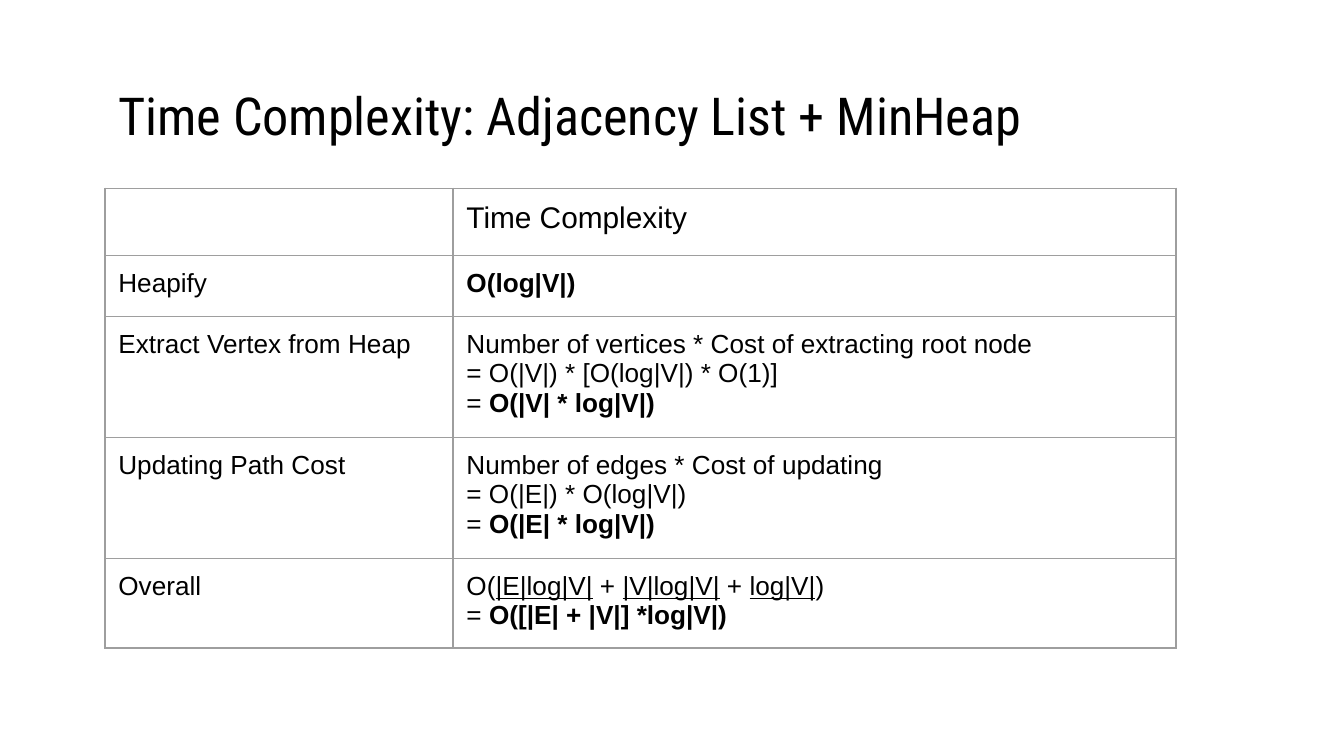
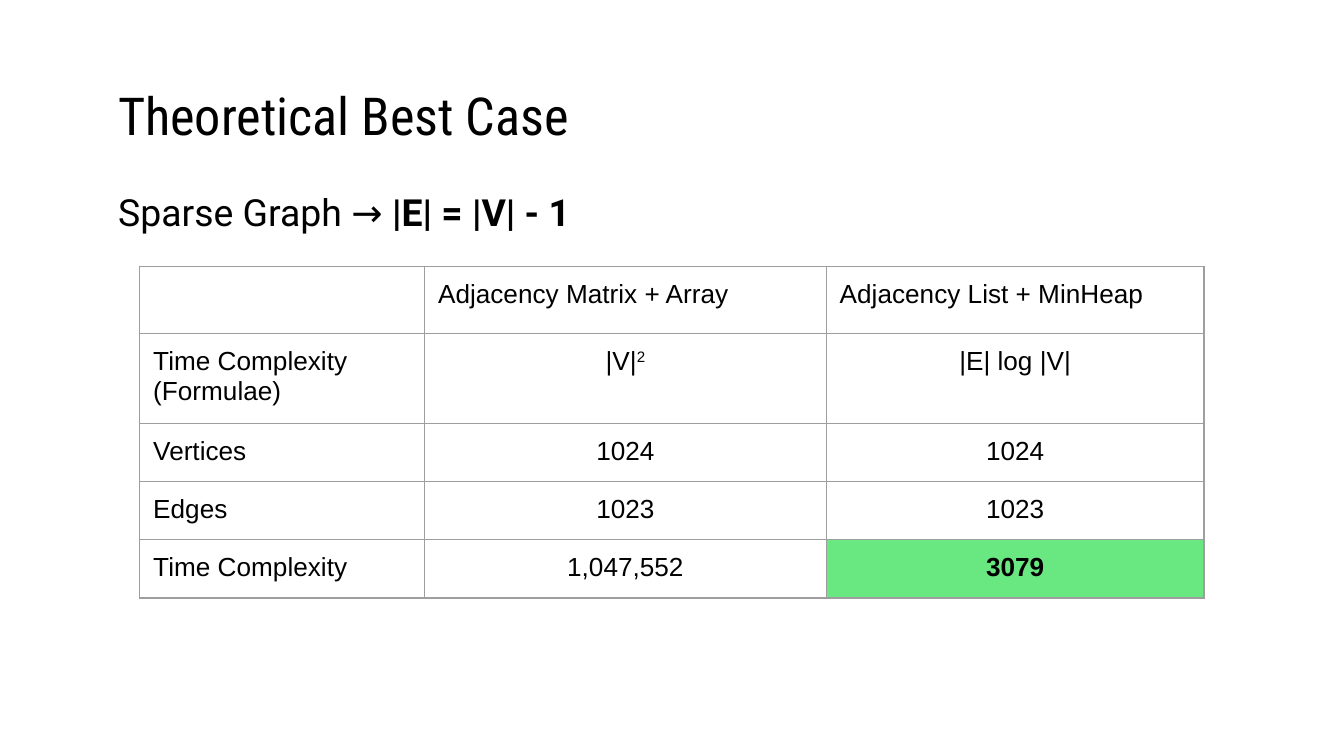
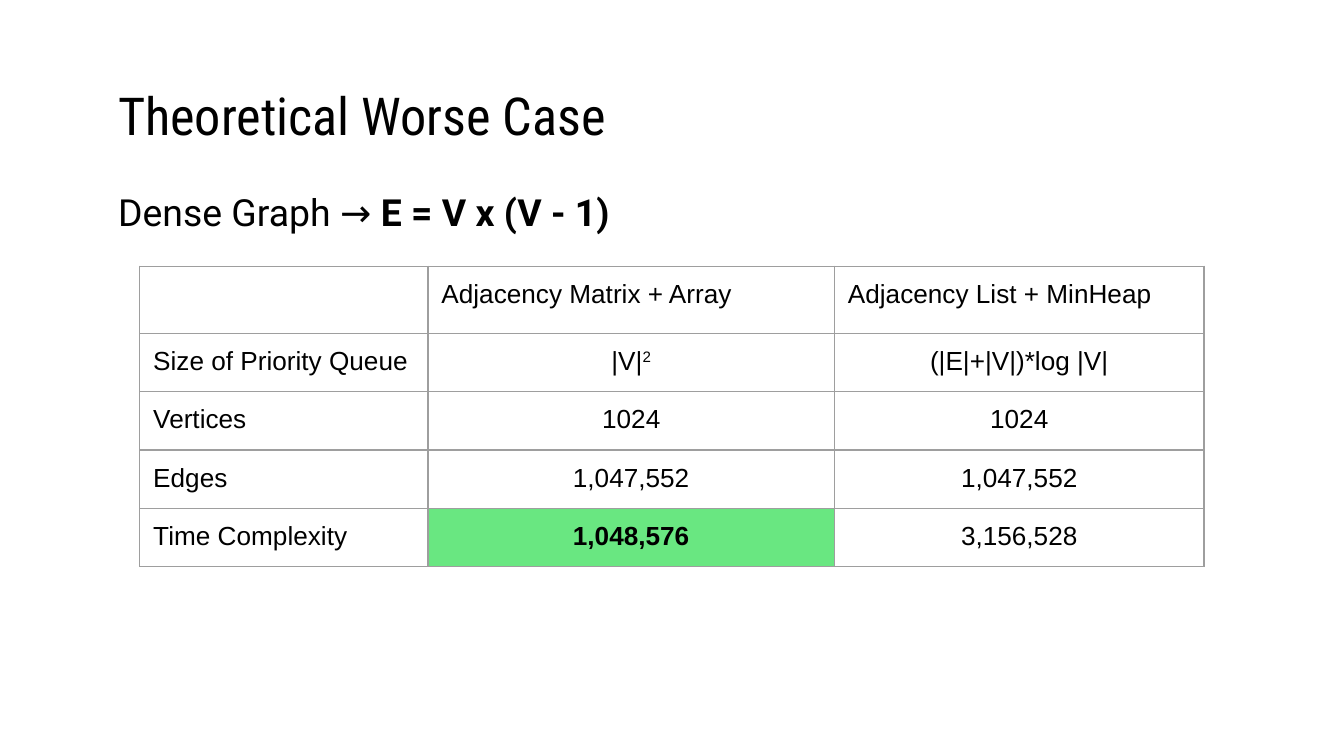
from pptx import Presentation
from pptx.dml.color import RGBColor
from pptx.enum.text import MSO_ANCHOR, PP_ALIGN
from pptx.oxml.ns import qn
from pptx.util import Pt
from lxml import etree

LEFT, CENTER = PP_ALIGN.LEFT, PP_ALIGN.CENTER
TOP, MIDDLE = MSO_ANCHOR.TOP, MSO_ANCHOR.MIDDLE

COLORS = {"background": "FFFFFF", "text": "000000", "border": "9E9E9E", "winner": "69E781"}
TITLE_FONT, BODY_FONT, TABLE_FONT = "Roboto Condensed", "Roboto", "Arial"
INSET = 7.2
TITLE_BOX = (56.2, 42.5, 608.4, 38.2)
BODY_BOX = (56.2, 90.7, 608.4, 272.2)
SUMMARY_ORIGIN = (56.2, 100.8)
COMPARISON_ORIGIN = (74.9, 142.6)
HEADER_HEIGHT, ROW_HEIGHT, TWO_LINE_HEIGHT, THREE_LINE_HEIGHT = 34.3, 30.2, 45.8, 61.5

PLAIN, BOLD, UNDERLINE, SUPERSCRIPT = "plain", "bold", "underline", "superscript"
SQUARED = [[("|V|", PLAIN), ("2", SUPERSCRIPT)]]


def color(name):
    return RGBColor.from_string(COLORS[name])


def plain(text):
    return [[(text, PLAIN)]]


def bold(text):
    return [[(text, BOLD)]]


def write_text(frame, paragraphs, font, size, alignment=LEFT, line_spacing=None):
    """Fill a frame with paragraphs, each a list of (text, style) runs."""
    for index, runs in enumerate(paragraphs):
        paragraph = frame.paragraphs[0] if index == 0 else frame.add_paragraph()
        paragraph.alignment = alignment
        if line_spacing:
            paragraph.line_spacing = line_spacing
        for text, style in runs:
            run = paragraph.add_run()
            run.text = text
            run.font.name, run.font.size = font, Pt(size)
            run.font.color.rgb = color("text")
            run.font.bold = style == BOLD
            run.font.underline = style == UNDERLINE
            if style == SUPERSCRIPT:
                run.font._element.set("baseline", "30000")


def set_margins(target):
    target.margin_left = target.margin_right = Pt(INSET)
    target.margin_top = target.margin_bottom = Pt(INSET)


def add_text(slide, box, paragraphs, font, size, anchor=TOP, line_spacing=None):
    shape = slide.shapes.add_textbox(*map(Pt, box))
    frame = shape.text_frame
    frame.word_wrap = True
    frame.vertical_anchor = anchor
    set_margins(frame)
    write_text(frame, paragraphs, font, size, line_spacing=line_spacing)


def add_borders(cell):
    properties = cell._tc.get_or_add_tcPr()
    for side in ("lnL", "lnR", "lnT", "lnB"):
        line = etree.SubElement(properties, qn(f"a:{side}"), w=str(Pt(0.75)))
        fill = etree.SubElement(line, qn("a:solidFill"))
        etree.SubElement(fill, qn("a:srgbClr"), val=COLORS["border"])


def add_grid(slide, origin, widths, heights, rows, header_size=14, centered=False, winner=None):
    """Add a bordered table; winner is the (row, column) of the highlighted cell."""
    left, top = origin
    box = (left, top, sum(widths), sum(heights))
    table = slide.shapes.add_table(len(rows), len(widths), *map(Pt, box)).table
    table.first_row = table.horz_banding = False
    for column, width in zip(table.columns, widths):
        column.width = Pt(width)
    for row, height in zip(table.rows, heights):
        row.height = Pt(height)
    for row_index, contents in enumerate(rows):
        for column_index, paragraphs in enumerate(contents):
            cell = table.cell(row_index, column_index)
            set_margins(cell)
            add_borders(cell)
            if (row_index, column_index) == winner:
                cell.fill.solid()
                cell.fill.fore_color.rgb = color("winner")
            else:
                cell.fill.background()
            is_value = centered and row_index > 0 and column_index > 0
            write_text(cell.text_frame, paragraphs, TABLE_FONT,
                       14 if row_index else header_size, CENTER if is_value else LEFT)


def add_titled_slide(presentation, title):
    slide = presentation.slides.add_slide(presentation.slide_layouts[6])
    slide.background.fill.solid()
    slide.background.fill.fore_color.rgb = color("background")
    add_text(slide, TITLE_BOX, plain(title), TITLE_FONT, 28, MIDDLE)
    return slide


def add_summary_slide(presentation):
    slide = add_titled_slide(presentation, "Time Complexity: Adjacency List + MinHeap")
    extraction = (plain("Number of vertices * Cost of extracting root node")
                  + plain("= O(|V|) * [O(log|V|) * O(1)]")
                  + [[("= ", PLAIN), ("O(|V| * log|V|)", BOLD)]])
    updating = (plain("Number of edges * Cost of updating")
                + plain("= O(|E|) * O(log|V|)")
                + [[("= ", PLAIN), ("O(|E| * log|V|)", BOLD)]])
    overall = [
        [("O(", PLAIN), ("|E|log|V|", UNDERLINE), (" + ", PLAIN), ("|V|log|V|", UNDERLINE),
         (" + ", PLAIN), ("log|V|", UNDERLINE), (")", PLAIN)],
        [("= ", PLAIN), ("O([|E| + |V|] *log|V|)", BOLD)],
    ]
    rows = [
        [[], plain("Time Complexity")],
        [plain("Heapify"), bold("O(log|V|)")],
        [plain("Extract Vertex from Heap"), extraction],
        [plain("Updating Path Cost"), updating],
        [plain("Overall"), overall],
    ]
    heights = [HEADER_HEIGHT, 32.6, THREE_LINE_HEIGHT, THREE_LINE_HEIGHT, TWO_LINE_HEIGHT]
    add_grid(slide, SUMMARY_ORIGIN, [186.5, 387.3], heights, rows, header_size=16)


def add_comparison_slide(presentation, title, graph, formula, widths, formula_height,
                         measures, winner):
    slide = add_titled_slide(presentation, title)
    statement = [[(f"{graph} → ", PLAIN), (formula, BOLD)]]
    add_text(slide, BODY_BOX, statement, BODY_FONT, 20, line_spacing=1.15)
    header = [[], plain("Adjacency Matrix + Array"), plain("Adjacency List + MinHeap")]
    heights = [HEADER_HEIGHT, formula_height] + [ROW_HEIGHT] * (len(measures) - 1)
    add_grid(slide, COMPARISON_ORIGIN, widths, heights, [header] + measures,
             centered=True, winner=winner)


def main():
    presentation = Presentation()
    presentation.slide_width, presentation.slide_height = Pt(720), Pt(405)
    add_summary_slide(presentation)
    add_comparison_slide(
        presentation, "Theoretical Best Case", "Sparse Graph", "|E| = |V| - 1",
        [152.6, 215.2, 202.4], TWO_LINE_HEIGHT,
        [
            [plain("Time Complexity (Formulae)"), SQUARED, plain("|E| log |V|")],
            [plain("Vertices"), plain("1024"), plain("1024")],
            [plain("Edges"), plain("1023"), plain("1023")],
            [plain("Time Complexity"), plain("1,047,552"), bold("3079")],
        ],
        winner=(4, 2))
    add_comparison_slide(
        presentation, "Theoretical Worse Case", "Dense Graph", "E = V x (V - 1)",
        [154.4, 217.8, 198], ROW_HEIGHT,
        [
            [plain("Size of Priority Queue"), SQUARED, plain("(|E|+|V|)*log |V|")],
            [plain("Vertices"), plain("1024"), plain("1024")],
            [plain("Edges"), plain("1,047,552"), plain("1,047,552")],
            [plain("Time Complexity"), bold("1,048,576"), plain("3,156,528")],
        ],
        winner=(4, 1))
    presentation.save("out.pptx")


if __name__ == "__main__":
    main()
